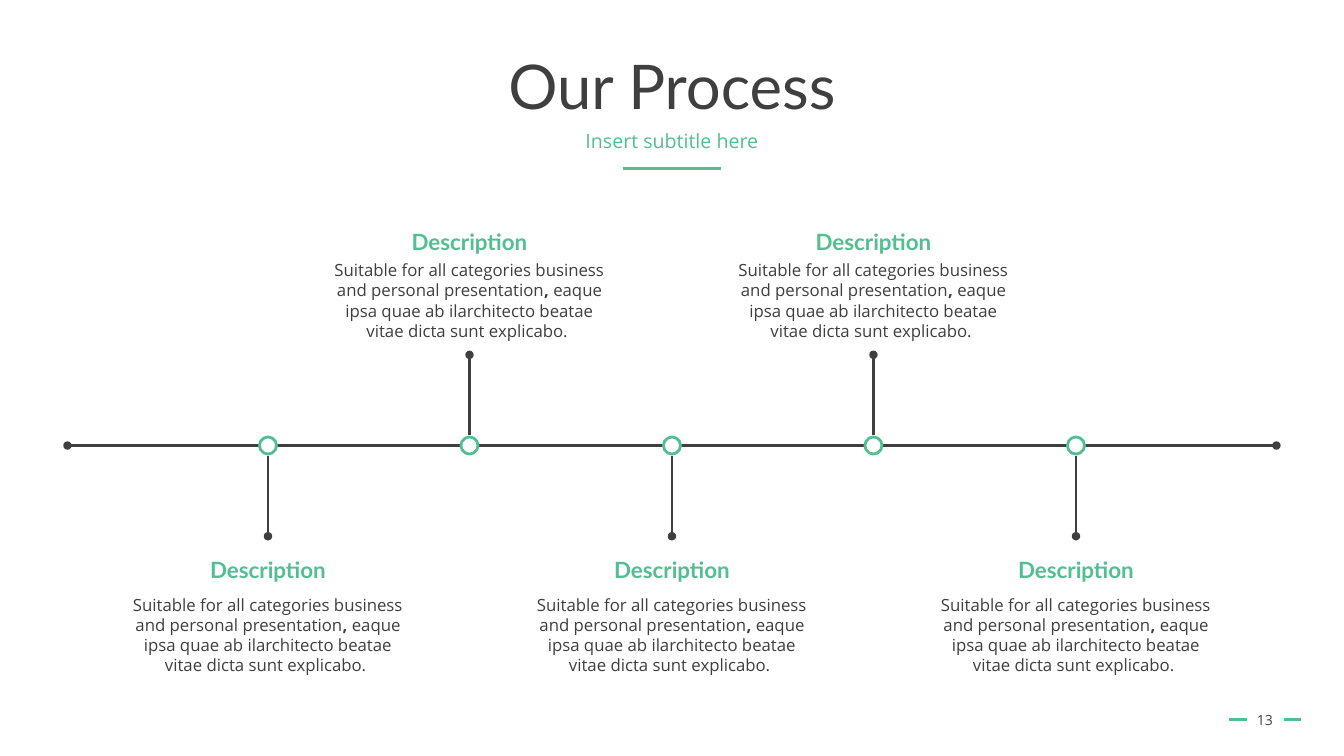
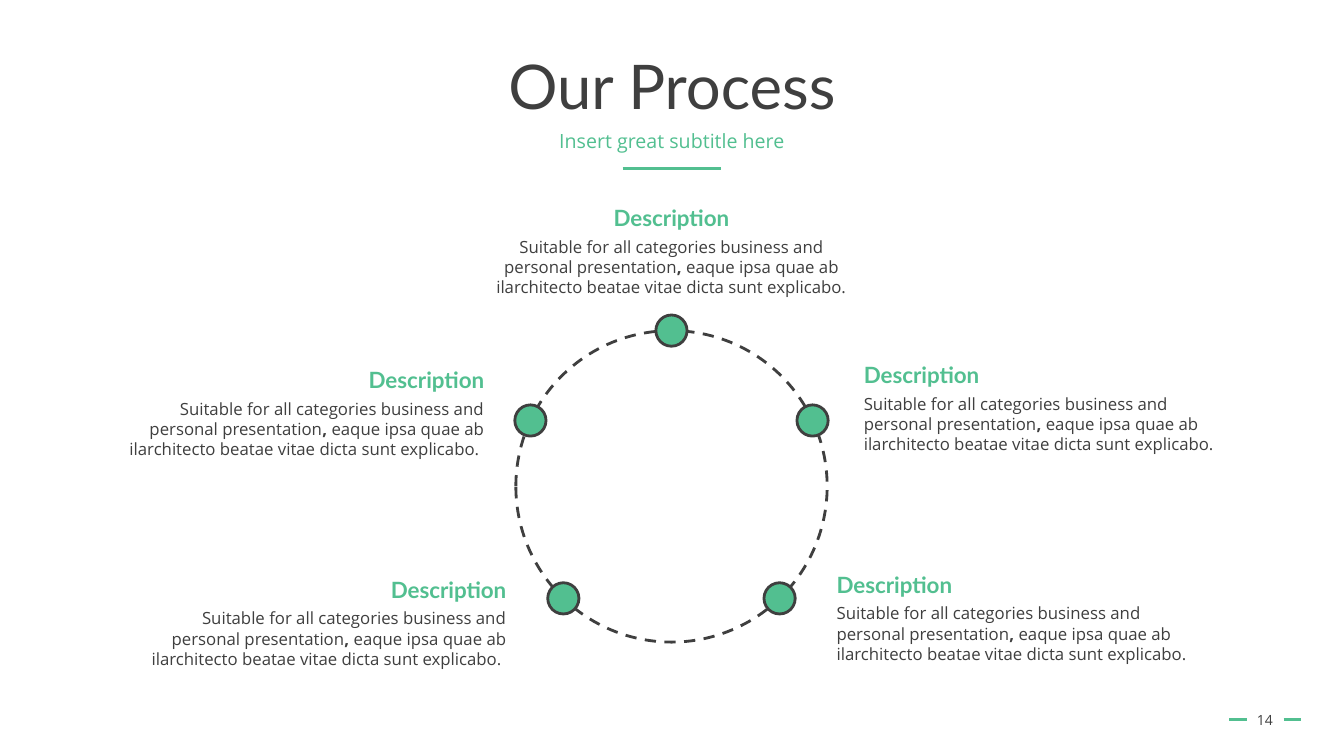
"""Build two process slides: a timeline and a ring."""
from math import cos, radians, sin

from lxml.etree import SubElement
from pptx import Presentation
from pptx.dml.color import RGBColor
from pptx.enum.dml import MSO_LINE
from pptx.enum.shapes import MSO_CONNECTOR, MSO_SHAPE
from pptx.enum.text import MSO_ANCHOR, MSO_AUTO_SIZE, PP_ALIGN
from pptx.oxml.ns import qn
from pptx.util import Pt

SCALE = 9144
GREEN, DARK, WHITE = "52BF90", "3F3F3F", "FFFFFF"
HEAD_FONT, BODY_FONT = "Lato", "Open Sans"
HEADING_WIDTH = 228
HEADING_SHIFT = {PP_ALIGN.LEFT: 0, PP_ALIGN.CENTER: 0.5, PP_ALIGN.RIGHT: 1}
DESCRIPTION = (
    "Suitable for all categories business and personal presentation",
    ",",
    " eaque ipsa quae ab ilarchitecto beatae vitae dicta sunt explicabo.",
)


def px(*lengths):
    """Turn px lengths into a list of EMU."""
    return [round(length * SCALE) for length in lengths]


def color(code):
    """Turn a hex string into a colour."""
    return RGBColor.from_string(code)


def style(para, size, font, code, bold=False, align=PP_ALIGN.CENTER):
    """Set the font and alignment of a whole paragraph."""
    para.alignment = align
    para.font.size = Pt(size)
    para.font.name = font
    para.font.bold = bold
    para.font.color.rgb = color(code)


def add_line(page, start, end, code, weight, ends=()):
    """Draw a straight line with oval ends where named."""
    line = page.shapes.add_connector(MSO_CONNECTOR.STRAIGHT, *px(*start, *end))
    line.line.color.rgb = color(code)
    line.line.width = Pt(weight)
    outline = line.element.spPr.find(qn("a:ln"))
    for name in ends:
        SubElement(outline, qn(f"a:{name}")).set("type", "oval")
    SubElement(line.element.spPr, qn("a:effectLst"))
    return line


def add_circle(page, x, y, size, line_code, fill_code=None):
    """Draw a circle around a centre point."""
    circle = page.shapes.add_shape(
        MSO_SHAPE.OVAL, *px(x - size / 2, y - size / 2, size, size))
    circle.shadow.inherit = False
    circle.line.color.rgb = color(line_code)
    circle.line.width = Pt(2)
    if fill_code:
        circle.fill.solid()
        circle.fill.fore_color.rgb = color(fill_code)
    else:
        circle.fill.background()
    return circle


def add_text_box(page, left, top, width, height):
    """Add a wrapping text box and return its frame."""
    frame = page.shapes.add_textbox(*px(left, top, width, height)).text_frame
    frame.word_wrap = True
    frame.auto_size = MSO_AUTO_SIZE.SHAPE_TO_FIT_TEXT
    return frame


def add_caption(page, left, top, width, height, gap=32, align=PP_ALIGN.CENTER):
    """Write a heading with its description, which starts one gap lower."""
    shift = HEADING_SHIFT[align] * (width - HEADING_WIDTH)
    heading = add_text_box(page, left + shift, top, HEADING_WIDTH, 37)
    heading.text = "Description"
    style(heading.paragraphs[0], 16, HEAD_FONT, GREEN, True, align)
    para = add_text_box(page, left, top + gap, width, height).paragraphs[0]
    style(para, 12, BODY_FONT, DARK, align=align)
    for index, words in enumerate(DESCRIPTION):
        span = para.add_run()
        span.text = words
        span.font.bold = index == 1
    if align != PP_ALIGN.LEFT:
        span.text += " "


def fill_placeholder(holder, box, words, size, font, code, anchor):
    """Place a template placeholder and write one centred line in it."""
    holder.left, holder.top, holder.width, holder.height = px(*box)
    frame = holder.text_frame
    frame.text = words
    frame.auto_size = MSO_AUTO_SIZE.NONE
    frame.vertical_anchor = anchor
    para = frame.paragraphs[0]
    properties = para._p.get_or_add_pPr()
    properties.set("marL", "0")
    properties.set("indent", "0")
    SubElement(properties, qn("a:buNone"))
    para.line_spacing = 0.9
    para.space_before = Pt(0)
    style(para, size, font, code)


def move_rules_to_layout(page):
    """Put the title rule and the number dashes on the shared layout."""
    for left, right, y in ((618, 716, 167), (1220, 1238, 714), (1274, 1291, 714)):
        rule = add_line(page, (left, y), (right, y), GREEN, 1.75)
        page.slide_layout.shapes.element.append(rule.element)


def add_page(deck, subtitle, number):
    """Add a slide with title, subtitle and page number."""
    page = deck.slides.add_slide(deck.slide_layouts[1])
    fill_placeholder(page.shapes.title, (92, 40, 1150, 98), "Our Process",
                     44, HEAD_FONT, DARK, MSO_ANCHOR.MIDDLE)
    fill_placeholder(page.placeholders[1], (92, 126, 1150, 40), subtitle,
                     14, BODY_FONT, GREEN, MSO_ANCHOR.TOP)
    frame = add_text_box(page, 1226, 694, 59, 40)
    frame.auto_size = MSO_AUTO_SIZE.NONE
    frame.vertical_anchor = MSO_ANCHOR.MIDDLE
    frame.text = str(number)
    style(frame.paragraphs[0], 10, BODY_FONT, DARK)
    return page


def draw_timeline(page, left, y, width):
    """Draw five nodes on an axis, with captions below and above in turn."""
    add_line(page, (left, y), (left + width, y), DARK, 2, ("headEnd", "tailEnd"))
    for index in range(5):
        x = left + width // 2 + (index - 2) * 401 // 2
        below = index % 2 == 0
        side = 1 if below else -1
        add_circle(page, x, y, 17, GREEN, WHITE)
        add_line(page, (x, y + side * 10), (x, y + side * 90), DARK, 2, ("tailEnd",))
        top, gap = (y + 105, 38) if below else (y - 221, 32)
        add_caption(page, x - 146, top, 292, 90, gap)


def draw_ring(page, left, top, size):
    """Draw a dashed ring with five beads and a caption beside each."""
    radius = size / 2
    x, y = left + radius, top + radius
    add_circle(page, x, y, size, DARK).line.dash_style = MSO_LINE.DASH
    steps = (
        (0, -184, -285, 368, PP_ALIGN.CENTER),
        (65, 181, -129, 378, PP_ALIGN.LEFT),
        (136, 154, 79, 378, PP_ALIGN.LEFT),
        (-136, -535, 84, 381, PP_ALIGN.RIGHT),
        (-65, -557, -124, 381, PP_ALIGN.RIGHT),
    )
    for degrees, across, down, width, align in steps:
        angle = radians(degrees)
        add_circle(page, x + radius * sin(angle), y - radius * cos(angle),
                   31, DARK, GREEN)
        add_caption(page, x + across, y + down, width, 70, align=align)


def main():
    """Build and save the deck."""
    deck = Presentation()
    deck.slide_width, deck.slide_height = px(1334, 750)
    timeline_page = add_page(deck, "Insert subtitle here", 13)
    move_rules_to_layout(timeline_page)
    draw_timeline(timeline_page, 67, 442, 1200)
    ring_page = add_page(deck, "Insert great subtitle here", 14)
    draw_ring(ring_page, 512, 328, 309)
    deck.save("out.pptx")


if __name__ == "__main__":
    main()
